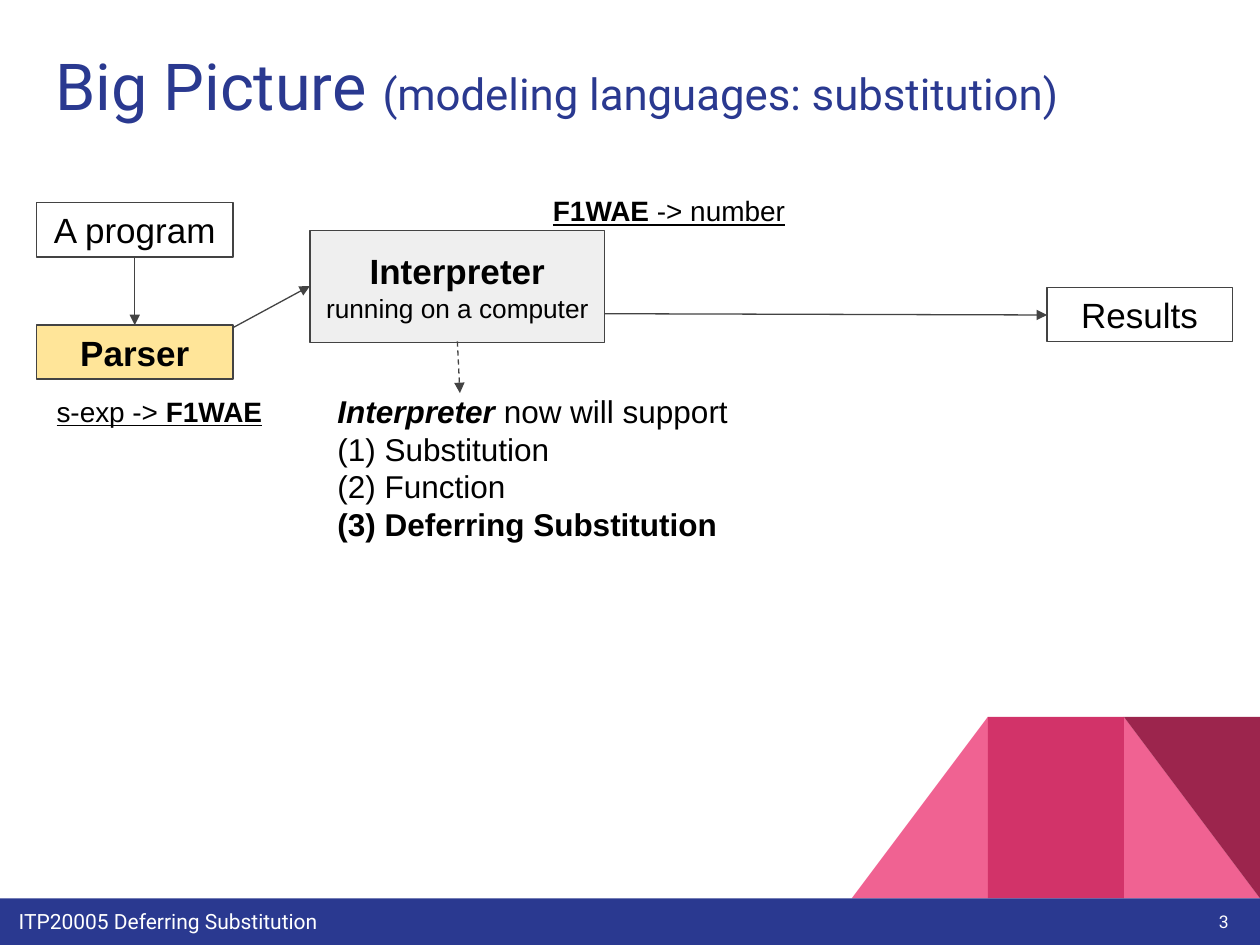
from pptx import Presentation
from pptx.dml.color import RGBColor
from pptx.enum.dml import MSO_LINE
from pptx.enum.shapes import MSO_CONNECTOR, MSO_SHAPE
from pptx.enum.text import MSO_ANCHOR, PP_ALIGN
from pptx.oxml.ns import qn
from pptx.util import Inches, Pt
from lxml.etree import SubElement

NAVY, WHITE, BLACK, GRAY, PINK = "2A3990", "FFFFFF", "000000", "434343", "F06292"
SIDE, TOP, TALL, FLOOR = 1.08, 5.69, 1.44, 7.13
TRI, RECT = MSO_SHAPE.RIGHT_TRIANGLE, MSO_SHAPE.RECTANGLE

DECOR = [
    (TRI, 1, PINK, 0, False),
    (TRI, 3, PINK, 0, True),
    (RECT, 2, "D23369", 0, False),
    (TRI, 1, "9C254D", 180, False),
]

LABELS = [
    ((0.05, 7.11, 7.35, 0.36), "Roboto", WHITE, [[("ITP20005 Deferring Substitution", 12, "")]]),
    ((0.34, 0.26, 9.32, 0.89), "Roboto", NAVY,
     [[("Big Picture ", 37, ""), ("(modeling languages: substitution)", 25, "")]]),
    ((0.35, 3.03, 2.11, 0.4), "Arial", BLACK, [[("s-exp -> ", 16, "u"), ("F1WAE", 16, "bu")]]),
    ((4.29, 1.44, 2.29, 0.33), "Arial", BLACK, [[("F1WAE", 16, "bu"), (" -> number", 16, "u")]]),
    ((2.58, 3.01, 4.45, 0.94), "Arial", BLACK, [
        [("Interpreter ", 18, "bi"), ("now will support", 18, "")],
        [("(1) Substitution\n(2) Function\n", 18, ""), ("(3) Deferring Substitution", 18, "b")],
    ]),
]

BOXES = [
    ((2.46, 1.83, 2.34, 0.89), "EFEFEF",
     [("Interpreter\n", 20, "b"), ("running on a computer", 15, "")]),
    ((0.29, 1.61, 1.56, 0.43), None, [("A program", 20, "")]),
    ((8.31, 2.28, 1.47, 0.43), None, [("Results", 20, "")]),
    ((0.29, 2.58, 1.56, 0.43), "FFE599", [("Parser", 20, "b")]),
]

ARROWS = [
    (1.85, 2.6, 2.46, 2.27, False),
    (1.07, 2.05, 1.07, 2.58, False),
    (4.8, 2.49, 8.31, 2.5, False),
    (3.63, 2.71, 3.65, 3.12, True),
]


def color(code):
    return RGBColor.from_string(code)


def write(shape, font, code, paras, align=PP_ALIGN.LEFT, anchor=MSO_ANCHOR.TOP):
    frame = shape.text_frame
    frame.word_wrap = True
    frame.vertical_anchor = anchor
    frame.margin_left = frame.margin_right = Inches(0.1)
    frame.margin_top = frame.margin_bottom = Inches(0.1)
    for i, runs in enumerate(paras):
        para = frame.add_paragraph() if i else frame.paragraphs[0]
        para.alignment = align
        para.font.name = font
        para.font.color.rgb = color(code)
        for text, size, style in runs:
            for j, part in enumerate(text.split("\n")):
                if j:
                    para.add_line_break()
                if part:
                    run = para.add_run()
                    run.text = part
                    run.font.size = Pt(size)
                    run.font.bold = "b" in style
                    run.font.italic = "i" in style
                    run.font.underline = "u" in style


def draw(slide, kind, place, fill=None, line=None):
    shape = slide.shapes.add_shape(kind, *map(Inches, place))
    shape.shadow.inherit = False
    if fill:
        shape.fill.solid()
        shape.fill.fore_color.rgb = color(fill)
    else:
        shape.fill.background()
    if line:
        shape.line.color.rgb = color(line)
        shape.line.width = Pt(0.75)
    else:
        shape.line.fill.background()
    return shape


def label(slide, place, *args):
    write(slide.shapes.add_textbox(*map(Inches, place)), *args)


def arrow(slide, ends, dash):
    link = slide.shapes.add_connector(MSO_CONNECTOR.STRAIGHT, *map(Inches, ends))
    link.line.color.rgb = color(GRAY)
    link.line.width = Pt(0.75)
    if dash:
        link.line.dash_style = MSO_LINE.DASH
    SubElement(link.line._get_or_add_ln(), qn("a:tailEnd"), type="triangle")
    SubElement(link._element.spPr, qn("a:effectLst"))


def main():
    deck = Presentation()
    deck.slide_width, deck.slide_height = Inches(10), Inches(7.5)
    slide = deck.slides.add_slide(deck.slide_layouts[6])
    for kind, col, fill, turn, flip in DECOR:
        shape = draw(slide, kind, (10 - col * SIDE, TOP, SIDE, TALL), fill)
        shape.rotation = turn
        if flip:
            shape._element.spPr.find(qn("a:xfrm")).set("flipH", "1")
    draw(slide, RECT, (0, FLOOR, 10, 7.5 - FLOOR), NAVY)
    for item in LABELS:
        label(slide, *item)
    label(slide, (9.25, 7.03, 0.6, 0.57), "Roboto", WHITE, [[("3", 10, "")]],
          PP_ALIGN.RIGHT, MSO_ANCHOR.MIDDLE)
    for place, fill, runs in BOXES:
        box = draw(slide, RECT, place, fill, GRAY)
        write(box, "Arial", BLACK, [runs], PP_ALIGN.CENTER, MSO_ANCHOR.MIDDLE)
    for *ends, dash in ARROWS:
        arrow(slide, ends, dash)
    deck.save("out.pptx")


if __name__ == "__main__":
    main()
